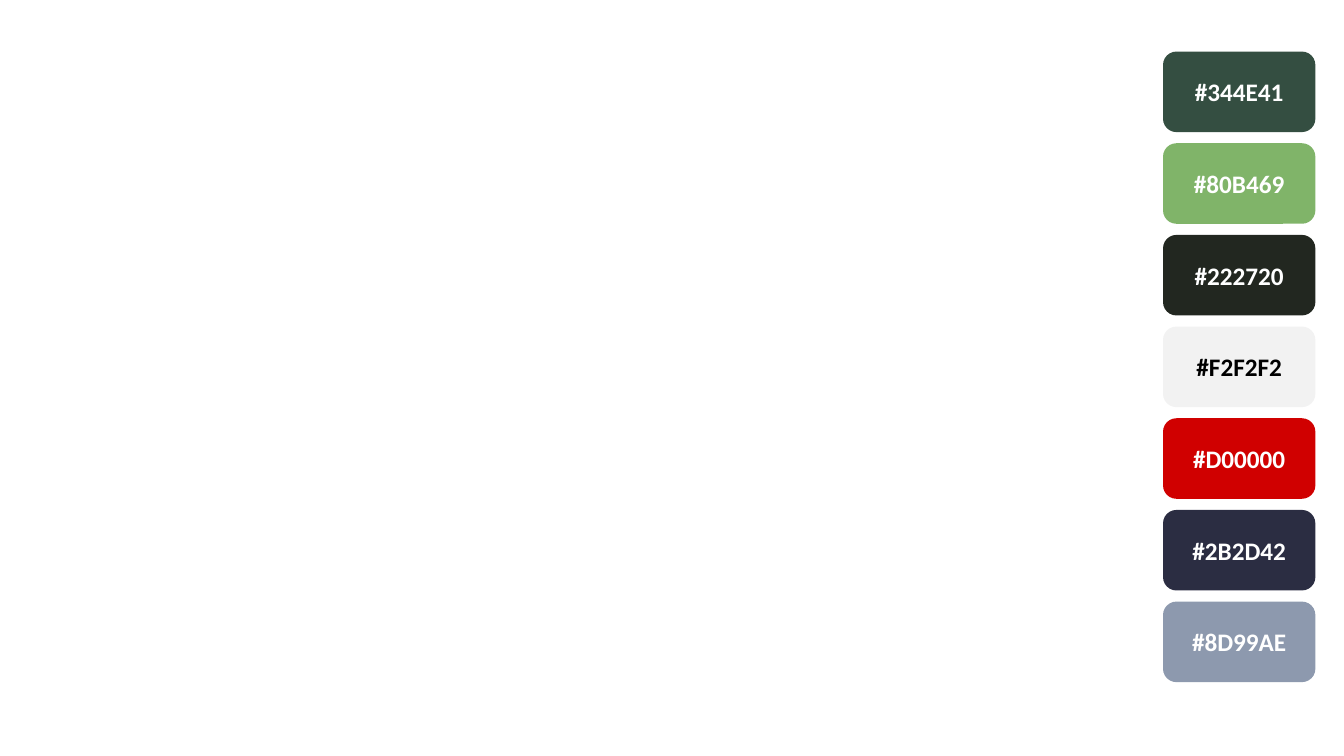
from dataclasses import dataclass

from pptx import Presentation
from pptx.dml.color import RGBColor
from pptx.enum.shapes import MSO_SHAPE as Shape
from pptx.enum.text import MSO_ANCHOR as Anchor, PP_ALIGN as Align
from pptx.util import Cm, Pt


@dataclass(frozen=True)
class Theme:
    palette: tuple = ("344E41", "80B469", "222720", "F2F2F2",
                      "D00000", "2B2D42", "8D99AE")
    pale: str = "F2F2F2"
    text_on_dark: str = "FFFFFF"
    text_on_pale: str = "000000"
    font: str = "Calibri"
    label_size: int = 18


theme = Theme()

# Blank widescreen slide
prs = Presentation()
prs.slide_width, prs.slide_height = Cm(33.87), Cm(19.05)
slide = prs.slides.add_slide(prs.slide_layouts[6])

# Column of swatches, measured in centimetres
left, top = 29.31, 1.3
width, height = 3.84, 2.03
pitch = 2.31

for row, colour in enumerate(theme.palette):
    swatch = slide.shapes.add_shape(
        Shape.ROUNDED_RECTANGLE,
        Cm(left), Cm(top + row * pitch), Cm(width), Cm(height))
    swatch.shadow.inherit = False
    swatch.fill.solid()
    swatch.fill.fore_color.rgb = RGBColor.from_string(colour)
    swatch.line.fill.background()

    # Hex code on the swatch
    swatch.text_frame.vertical_anchor = Anchor.MIDDLE
    label = swatch.text_frame.paragraphs[0]
    label.text = f"#{colour}"
    label.alignment = Align.CENTER
    label.font.name = theme.font
    label.font.size = Pt(theme.label_size)
    label.font.bold = True
    label.font.color.rgb = RGBColor.from_string(
        theme.text_on_pale if colour == theme.pale else theme.text_on_dark)

prs.save("out.pptx")
